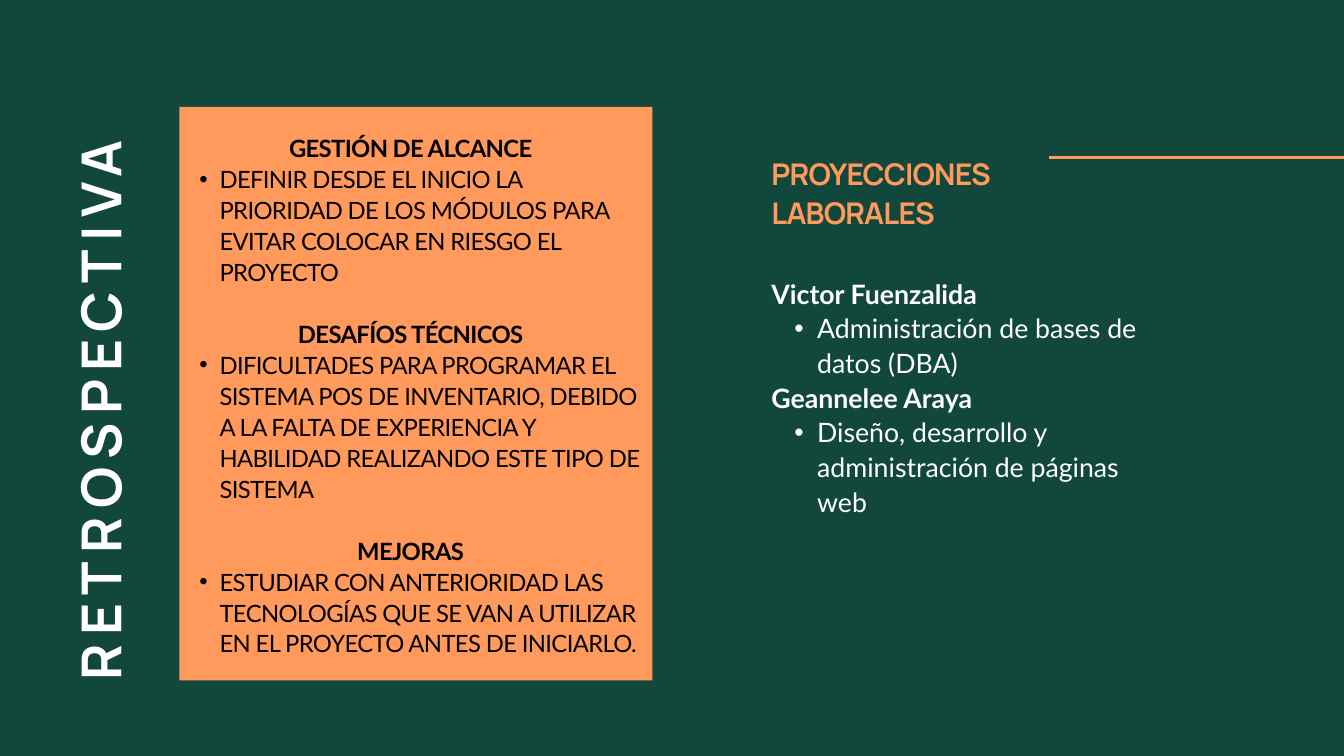
from lxml.etree import SubElement
from pptx import Presentation
from pptx.dml.color import RGBColor
from pptx.enum.shapes import MSO_CONNECTOR, MSO_SHAPE
from pptx.enum.text import MSO_ANCHOR, MSO_AUTO_SIZE, PP_ALIGN
from pptx.oxml.ns import qn
from pptx.util import Cm, Pt

GREEN = RGBColor(0x11, 0x48, 0x3B)
ORANGE = RGBColor(0xFF, 0x99, 0x5C)
WHITE = RGBColor(0xFF, 0xFF, 0xFF)
BLACK = RGBColor(0, 0, 0)

TOPICS = [
    ("GESTIÓN DE ALCANCE",
     "DEFINIR DESDE EL INICIO LA PRIORIDAD DE LOS MÓDULOS PARA EVITAR COLOCAR "
     "EN RIESGO EL PROYECTO"),
    ("DESAFÍOS TÉCNICOS",
     "DIFICULTADES PARA PROGRAMAR EL SISTEMA POS DE INVENTARIO, DEBIDO A LA "
     "FALTA DE EXPERIENCIA Y HABILIDAD REALIZANDO ESTE TIPO DE SISTEMA"),
    ("MEJORAS",
     "ESTUDIAR CON ANTERIORIDAD LAS TECNOLOGÍAS QUE SE VAN A UTILIZAR EN EL "
     "PROYECTO ANTES DE INICIARLO."),
]
PROFILES = [
    ("Victor Fuenzalida", "Administración de bases de datos (DBA)"),
    ("Geannelee Araya", "Diseño, desarrollo y administración de páginas web"),
]


def prepare_frame(sp):
    """Give a shape a wrapping, top-anchored text frame without margins."""
    tf = sp.text_frame
    tf.word_wrap = True
    tf.auto_size = MSO_AUTO_SIZE.NONE
    tf.vertical_anchor = MSO_ANCHOR.TOP
    tf.margin_left = tf.margin_right = tf.margin_top = tf.margin_bottom = 0
    return tf


def add_text_box(slide, x, y, w, h):
    """Add a text box measured in centimetres and return its frame."""
    return prepare_frame(slide.shapes.add_textbox(Cm(x), Cm(y), Cm(w), Cm(h)))


def write(p, text, font, size, color, leading, bold=True, spacing=0,
          align=PP_ALIGN.LEFT):
    """Write one formatted paragraph with exact line spacing."""
    p.text = text
    p.alignment = align
    p.line_spacing = Pt(leading)
    for r in p.runs:
        r.font.name = font
        r.font.size = Pt(size)
        r.font.bold = bold
        r.font.color.rgb = color
        r._r.get_or_add_rPr().set("spc", str(round(spacing * 100)))


def add_bullet(p, indent):
    """Turn a paragraph into a hanging bullet with the given indent in cm."""
    p.level = 1
    pPr = p._p.get_or_add_pPr()
    pPr.set("marL", str(Cm(indent)))
    pPr.set("indent", str(-Cm(indent / 2)))
    SubElement(pPr, qn("a:buFont")).set("typeface", "Arial")
    SubElement(pPr, qn("a:buChar")).set("char", "•")


def write_entries(tf, entries, indent, gap, align, **style):
    """Write bold headings, each followed by one bulleted line."""
    for i, (heading, detail) in enumerate(entries):
        p = tf.add_paragraph() if i else tf.paragraphs[0]
        write(p, heading, align=align, **style)
        if i and gap:
            p.space_before = Pt(gap)
        p = tf.add_paragraph()
        add_bullet(p, indent)
        write(p, detail, bold=False, **style)


def add_title(slide, x, y, w, h):
    """Stand the slide title upright inside the given box."""
    sp = slide.shapes.title
    sp.left, sp.top = Cm(x + (w - h) / 2), Cm(y + (h - w) / 2)
    sp.width, sp.height = Cm(h), Cm(w)
    sp.rotation = 270
    tf = prepare_frame(sp)
    write(tf.paragraphs[0], "RETROSPECTIVA", "Manrope", 59, WHITE, 67.3,
          spacing=8.9)


def add_topics_panel(slide, x, y, w, h):
    """Draw the orange panel with the lessons learned."""
    panel = slide.shapes.add_shape(MSO_SHAPE.RECTANGLE, Cm(x), Cm(y), Cm(w), Cm(h))
    panel.shadow.inherit = False
    panel.fill.solid()
    panel.fill.fore_color.rgb = ORANGE
    panel.line.fill.background()
    tf = add_text_box(slide, x, y + 0.92, w - 0.4, h - 0.92)
    write_entries(tf, TOPICS, 1.52, 33.2, PP_ALIGN.CENTER, font="Lato",
                  size=25.5, color=BLACK, leading=33.2, spacing=-0.7)


def add_projections(slide, x, y, w, h):
    """Place the projections heading, its rule and the profiles."""
    tf = add_text_box(slide, x, y, 12.4, 2.95)
    write(tf.paragraphs[0], "PROYECCIONES LABORALES", "Manrope", 32, ORANGE,
          41.6, spacing=-0.9)
    rule = slide.shapes.add_connector(
        MSO_CONNECTOR.STRAIGHT, Cm(x + 10.49), Cm(y + 0.17), Cm(x + w), Cm(y + 0.17))
    rule.line.color.rgb = ORANGE
    rule.line.width = Pt(3)
    SubElement(rule._element.spPr, qn("a:effectLst"))
    tf = add_text_box(slide, x, y + 4.62, 14.1, h - 4.62)
    write_entries(tf, PROFILES, 1.73, 0, PP_ALIGN.LEFT, font="Lato",
                  size=28.6, color=WHITE, leading=37.2)


def main():
    """Build the retrospective slide and save it."""
    prs = Presentation()
    prs.slide_width, prs.slide_height = Cm(50.8), Cm(28.58)
    slide = prs.slides.add_slide(prs.slide_layouts[5])
    slide.background.fill.solid()
    slide.background.fill.fore_color.rgb = GREEN
    add_title(slide, 2.63, 2.86, 2.57, 22.86)
    add_topics_panel(slide, 6.78, 4.04, 17.88, 21.68)
    add_projections(slide, 29.16, 5.77, 21.64, 13.79)
    prs.save("out.pptx")


if __name__ == "__main__":
    main()
